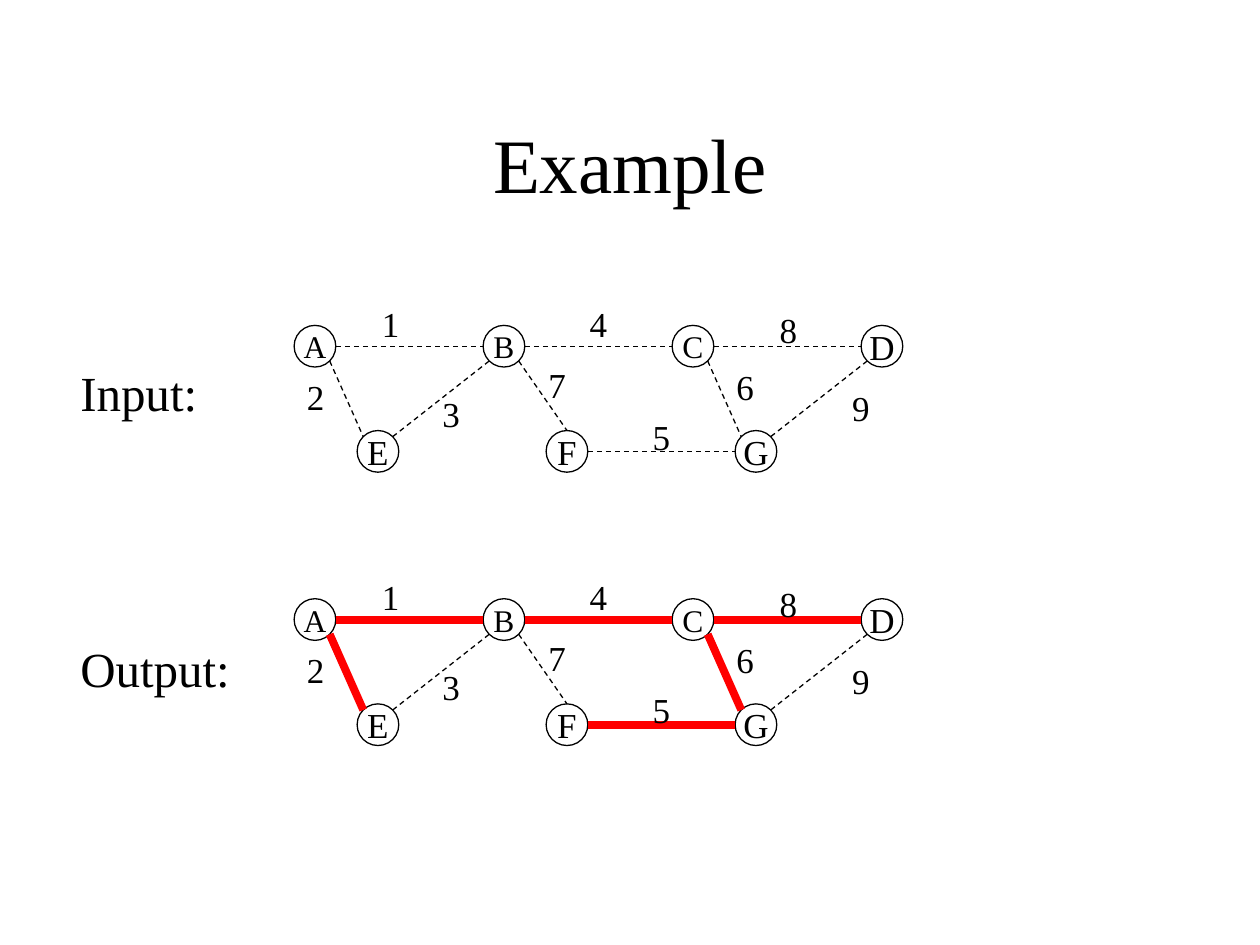
"""Build a slide showing a weighted graph and its minimum spanning tree."""
from math import sqrt

from lxml import etree
from pptx import Presentation
from pptx.dml.color import RGBColor
from pptx.enum.dml import MSO_LINE
from pptx.enum.shapes import MSO_CONNECTOR, MSO_SHAPE
from pptx.enum.text import MSO_ANCHOR, MSO_AUTO_SIZE, PP_ALIGN
from pptx.oxml.ns import qn
from pptx.util import Cm, Pt

STRAIGHT = MSO_CONNECTOR.STRAIGHT
OVAL = MSO_SHAPE.OVAL
DASH = MSO_LINE.DASH
MIDDLE = MSO_ANCHOR.MIDDLE
FIT_SHAPE = MSO_AUTO_SIZE.SHAPE_TO_FIT_TEXT
LEFT, CENTER, RIGHT = PP_ALIGN.LEFT, PP_ALIGN.CENTER, PP_ALIGN.RIGHT

FONT = "Times New Roman"
BLACK, RED = "000000", "FF0000"

TITLE = "Example"
NODES = {
    "A": (0, 0, 18), "B": (1, 0, 18), "C": (2, 0, 18), "D": (3, 0, 20),
    "E": (0, 1, 20), "F": (1, 1, 20), "G": (2, 1, 20),
}
EDGES = [
    ("A", "right", "B", "left", "1", 1.09, -1.01),
    ("E", "upper right", "B", "lower left", "3", 2.31, 0.81),
    ("C", "right", "D", "left", "8", 9.11, -0.88),
    ("A", "lower right", "E", "upper left", "2", -0.42, 0.46),
    ("B", "lower right", "F", "top", "7", 4.45, 0.22),
    ("B", "right", "C", "left", "4", 5.28, -1.01),
    ("C", "lower right", "G", "upper left", "6", 8.24, 0.26),
    ("F", "right", "G", "left", "5", 6.55, 1.27),
    ("D", "lower left", "G", "upper right", "9", 10.57, 0.69),
]
GRAPHS = [
    {"caption": "Input:", "top": 6.98, "caption_top": 7.18, "tree": ""},
    {"caption": "Output:", "top": 12.49, "caption_top": 12.75, "tree": "124568"},
]

GRAPH_LEFT = 6.35
CAPTION_LEFT, CAPTION_WIDTH, CAPTION_HEIGHT = 1.37, 4, 1.45
COLUMN_GAP, ROW_GAP, ROW_SHIFT = 3.81, 2.12, 1.27
RADIUS = 0.42
DIAGONAL = 1 / sqrt(2)
SITES = {
    "top": (0, -1), "left": (-1, 0), "right": (1, 0),
    "upper left": (-DIAGONAL, -DIAGONAL), "upper right": (DIAGONAL, -DIAGONAL),
    "lower left": (-DIAGONAL, DIAGONAL), "lower right": (DIAGONAL, DIAGONAL),
}


def color(value):
    return RGBColor.from_string(value)


def write(frame, text, size, align):
    paragraph = frame.paragraphs[0]
    paragraph.alignment = align
    run = paragraph.add_run()
    run.text = text
    run.font.name = FONT
    run.font.size = Pt(size)
    run.font.color.rgb = color(BLACK)


def add_label(shapes, text, size, align, left, top, width, height, wrap=False):
    label = shapes.add_textbox(Cm(left), Cm(top), Cm(width), Cm(height))
    label.text_frame.word_wrap = wrap
    label.text_frame.auto_size = FIT_SHAPE
    write(label.text_frame, text, size, align)


def node_center(name, top):
    column, row, _ = NODES[name]
    return GRAPH_LEFT + column * COLUMN_GAP + row * ROW_SHIFT, top + row * ROW_GAP


def site_point(name, site, top):
    x, y = node_center(name, top)
    dx, dy = SITES[site]
    return Cm(x + dx * RADIUS), Cm(y + dy * RADIUS)


def add_node(shapes, name, top):
    x, y = node_center(name, top)
    node = shapes.add_shape(OVAL, Cm(x - RADIUS), Cm(y - RADIUS), Cm(2 * RADIUS), Cm(2 * RADIUS))
    node.shadow.inherit = False
    node.fill.background()
    node.line.color.rgb = color(BLACK)
    node.line.width = Pt(0.75)
    node.text_frame.word_wrap = False
    node.text_frame.vertical_anchor = MIDDLE
    write(node.text_frame, name, NODES[name][2], CENTER)


def add_edge(shapes, start, end, in_tree):
    edge = shapes.add_connector(STRAIGHT, *start, *end)
    etree.SubElement(edge._element.spPr, qn("a:effectLst"))
    edge.line.color.rgb = color(RED if in_tree else BLACK)
    edge.line.width = Pt(4.5 if in_tree else 0.75)
    if not in_tree:
        edge.line.dash_style = DASH


def add_graph(slide, graph):
    top = graph["top"]
    shapes = slide.shapes.add_group_shape().shapes
    for name in NODES:
        add_node(shapes, name, top)
    for source, source_site, target, target_site, weight, dx, dy in EDGES:
        start = site_point(source, source_site, top)
        end = site_point(target, target_site, top)
        add_edge(shapes, start, end, weight in graph["tree"])
        add_label(shapes, weight, 20, RIGHT, GRAPH_LEFT + dx, top + dy, 0.86, 1.12)
    add_label(slide.shapes, graph["caption"], 28, LEFT, CAPTION_LEFT,
              graph["caption_top"], CAPTION_WIDTH, CAPTION_HEIGHT, wrap=True)


def main():
    deck = Presentation()
    deck.slide_width, deck.slide_height = Cm(25.4), Cm(19.05)
    slide = deck.slides.add_slide(deck.slide_layouts[5])
    title = slide.shapes.title
    title.left, title.top, title.width, title.height = Cm(1.9), Cm(1.68), Cm(21.6), Cm(3.18)
    title.text_frame.vertical_anchor = MIDDLE
    write(title.text_frame, TITLE, 44, CENTER)
    for graph in GRAPHS:
        add_graph(slide, graph)
    deck.save("out.pptx")


if __name__ == "__main__":
    main()
